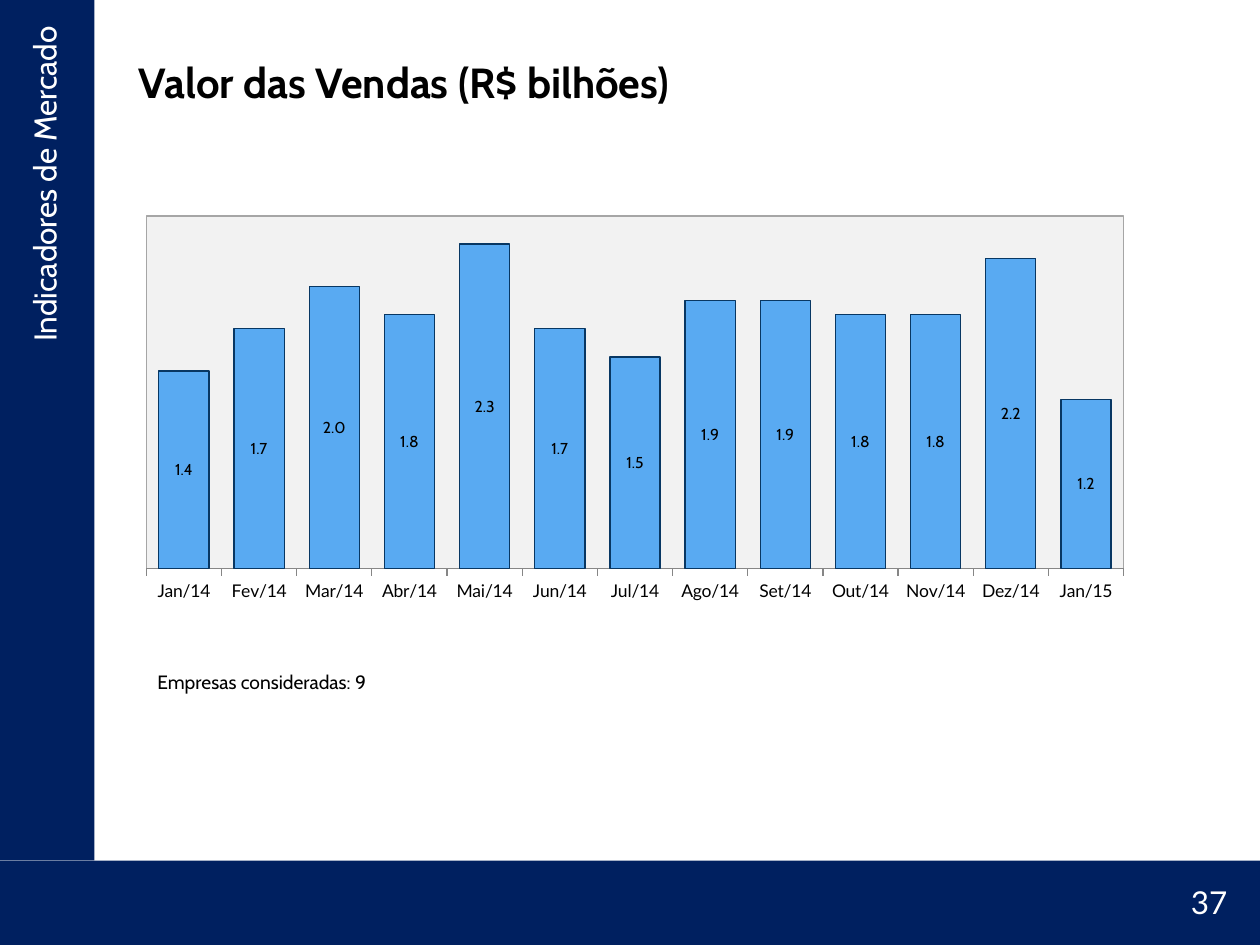
from lxml.etree import fromstring
from pptx import Presentation
from pptx.chart.data import CategoryChartData
from pptx.dml.color import RGBColor
from pptx.enum.chart import XL_CHART_TYPE, XL_LABEL_POSITION, XL_TICK_LABEL_POSITION, XL_TICK_MARK
from pptx.enum.shapes import MSO_SHAPE
from pptx.enum.text import MSO_ANCHOR, PP_ALIGN
from pptx.util import Inches, Pt

NAVY, WHITE, BLACK = "002060", "FFFFFF", "000000"
MONTHS = "Jan/14 Fev/14 Mar/14 Abr/14 Mai/14 Jun/14 Jul/14 Ago/14 Set/14 Out/14 Nov/14 Dez/14 Jan/15".split()
SALES = [1.4, 1.7, 2.0, 1.8, 2.3, 1.7, 1.5, 1.9, 1.9, 1.8, 1.8, 2.2, 1.2]
C = "http://schemas.openxmlformats.org/drawingml/2006/chart"
A = "http://schemas.openxmlformats.org/drawingml/2006/main"


def rgb(code):
    return RGBColor.from_string(code)


def style(font, color=BLACK, **values):
    for key, value in values.items():
        setattr(font, key, value)
    font.color.rgb = rgb(color)


def place(shape, box):
    for key, value in zip(("left", "top", "width", "height"), box):
        setattr(shape, key, Inches(value))


def add_band(slide, box):
    band = slide.shapes.add_shape(MSO_SHAPE.RECTANGLE, *map(Inches, box))
    band.shadow.inherit = False
    band.fill.solid()
    band.fill.fore_color.rgb = rgb(NAVY)
    band.line.fill.background()


def add_text(slide, box, text, align=PP_ALIGN.LEFT, **values):
    label = slide.shapes.add_textbox(*map(Inches, box))
    label.text_frame.word_wrap = True
    para = label.text_frame.paragraphs[0]
    para.alignment = align
    run = para.add_run()
    run.text = text
    style(run.font, **values)
    return label


def add_title(slide, box, text):
    title = slide.shapes.title
    place(title, box)
    title.text = text
    frame = title.text_frame
    frame.vertical_anchor = MSO_ANCHOR.MIDDLE
    para = frame.paragraphs[0]
    para.alignment = PP_ALIGN.LEFT
    style(para.runs[0].font, name="Cabin", size=Pt(24), bold=True)


def format_plot(chart, x, y, width, height):
    """Fix the inner plot box, in fractions of the chart, and give it a fill and border."""
    area = chart.plots[0]._element.getparent()
    for old in area.findall(f"{{{C}}}layout"):
        area.remove(old)
    area.insert(0, fromstring(
        f'<c:layout xmlns:c="{C}"><c:manualLayout><c:layoutTarget val="inner"/>'
        '<c:xMode val="edge"/><c:yMode val="edge"/>'
        f'<c:x val="{x}"/><c:y val="{y}"/><c:w val="{width}"/><c:h val="{height}"/>'
        '</c:manualLayout></c:layout>'))
    area.append(fromstring(
        f'<c:spPr xmlns:c="{C}" xmlns:a="{A}">'
        '<a:solidFill><a:srgbClr val="F2F2F2"/></a:solidFill>'
        '<a:ln w="9525"><a:solidFill><a:srgbClr val="A6A6A6"/></a:solidFill></a:ln></c:spPr>'))


def add_sales(slide, box):
    data = CategoryChartData()
    data.categories = MONTHS
    data.add_series("Series 1", SALES)
    chart = slide.shapes.add_chart(XL_CHART_TYPE.COLUMN_STACKED, *map(Inches, box), data).chart
    chart.has_legend = chart.has_title = False
    style(chart.font, name="Lato", size=Pt(10))

    scale = chart.value_axis
    limits = dict(minimum_scale=0, maximum_scale=2.5, has_major_gridlines=False, visible=False)
    for key, value in limits.items():
        setattr(scale, key, value)
    months = chart.category_axis
    months.major_tick_mark = XL_TICK_MARK.OUTSIDE
    months.tick_label_position = XL_TICK_LABEL_POSITION.LOW
    months.format.line.color.rgb = rgb("868686")

    plot = chart.plots[0]
    looks = dict(gap_width=50, overlap=100, vary_by_categories=False, has_data_labels=True)
    for key, value in looks.items():
        setattr(plot, key, value)
    bars = plot.series[0].format
    bars.fill.solid()
    bars.fill.fore_color.rgb = rgb("59AAF2")
    bars.line.color.rgb = rgb("083763")
    bars.line.width = Pt(0.75)

    labels = plot.data_labels
    shows = dict(show_value=True, number_format="#,##0.0", number_format_is_linked=False,
                 position=XL_LABEL_POSITION.CENTER)
    for key, value in shows.items():
        setattr(labels, key, value)
    style(labels.font, name="Cabin", size=Pt(9))
    format_plot(chart, 0.02, 0.02, 0.96, 0.88)


def add_frame(slide, side, foot):
    """Navy side and foot bands, with the section name and page number."""
    add_band(slide, foot)
    add_band(slide, side)
    section = add_text(slide, (-2.55, 2.81, 5.8, 0.4), "Indicadores de Mercado", PP_ALIGN.RIGHT,
                       name="Cabin", size=Pt(18), color=WHITE)
    section.rotation = 270
    right, top = foot[0] + foot[2], foot[1]
    add_text(slide, (right - 1.08, top + 0.13, 0.92, 0.4), "37", PP_ALIGN.RIGHT,
             name="Lato", size=Pt(18), color=WHITE)


def main():
    deck = Presentation()
    deck.slide_width, deck.slide_height = Inches(10), Inches(7.5)
    slide = deck.slides.add_slide(deck.slide_layouts[5])
    add_frame(slide, (0, 0, 0.75, 6.83), (0, 6.83, 10, 0.67))
    add_title(slide, (1, 0.3, 8.5, 0.7), "Valor das Vendas (R$ bilhões)")
    add_sales(slide, (1, 1.65, 8.08, 3.18))
    add_text(slide, (1.15, 5.27, 2.12, 0.29), "Empresas consideradas: 9", name="Cabin", size=Pt(11))
    deck.save("out.pptx")


if __name__ == "__main__":
    main()
